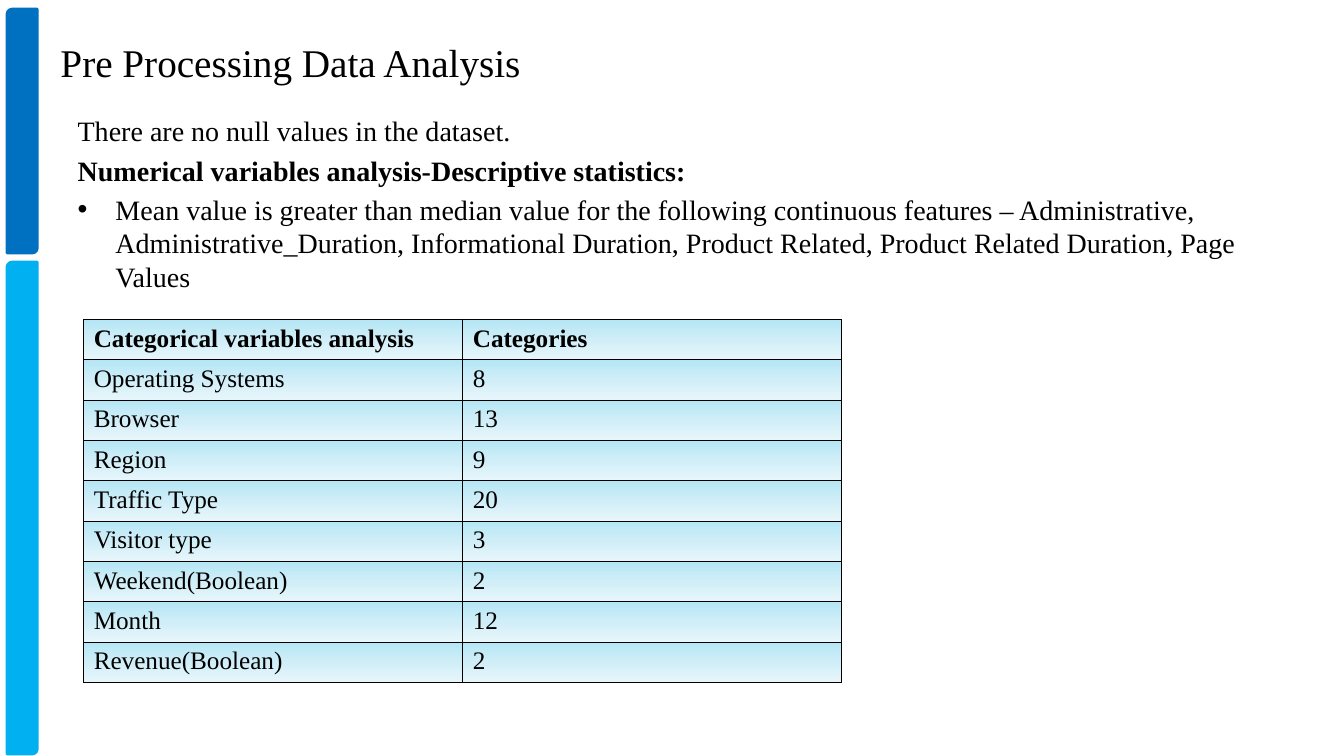
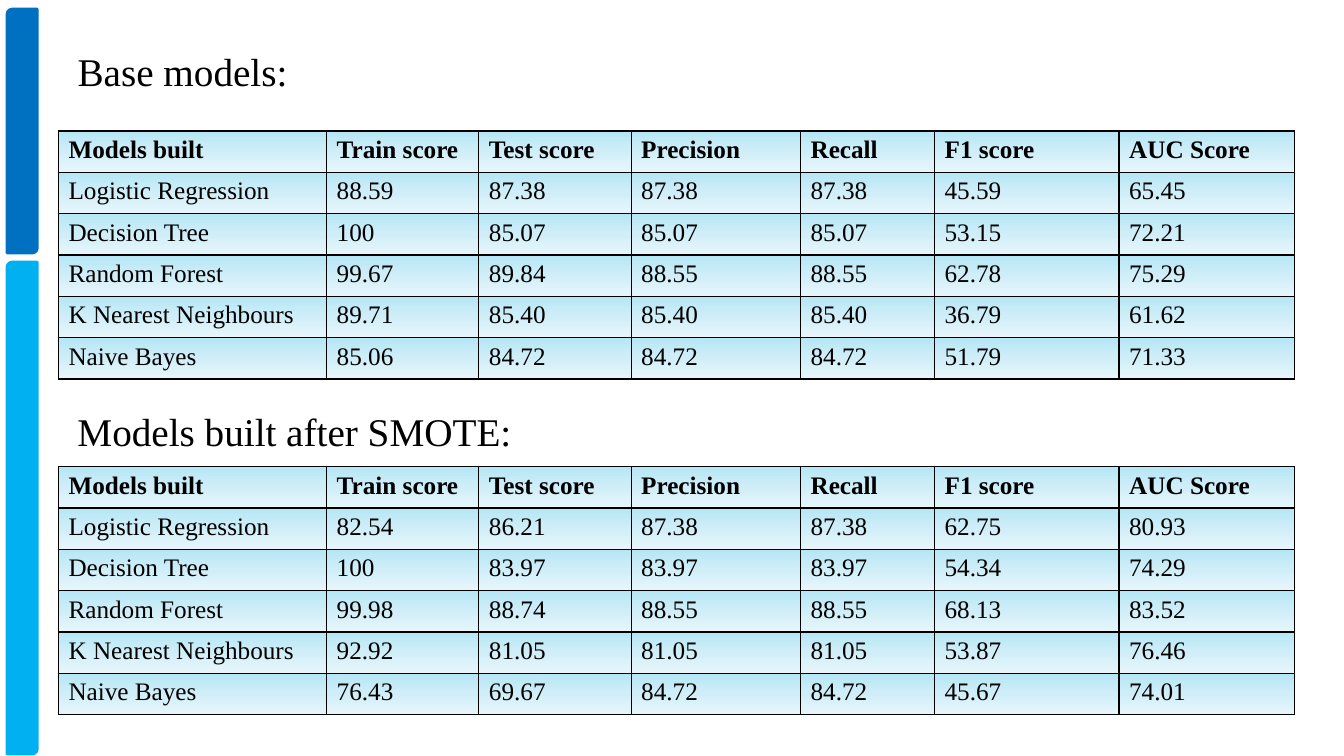
from pptx import Presentation
from pptx.dml.color import RGBColor
from pptx.enum.shapes import MSO_SHAPE
from pptx.enum.text import MSO_ANCHOR, MSO_AUTO_SIZE, PP_ALIGN
from pptx.oxml import parse_xml
from pptx.oxml.ns import nsdecls
from pptx.util import Inches, Pt

FONT = "Times New Roman"
BLACK = "000000"
GRADIENT = [(0, "B5E6F5"), (50, "D0EEF8"), (100, "E8F6FB")]
BANDS = [("0070C0", 0.09, 2.42), ("00B0F0", 2.6, 4.88)]  # colour, top, height

NOTES = [  # text, bold, bullet
    ("There are no null values in the dataset.", False, False),
    ("Numerical variables analysis-Descriptive statistics:", True, False),
    ("Mean value is greater than median value for the following continuous "
     "features – Administrative, Administrative_Duration, Informational "
     "Duration, Product Related, Product Related Duration, Page Values",
     False, True),
]
CATEGORIES = [
    ("Categorical variables analysis", "Categories"),
    ("Operating Systems", "8"),
    ("Browser", "13"),
    ("Region", "9"),
    ("Traffic Type", "20"),
    ("Visitor type", "3"),
    ("Weekend(Boolean)", "2"),
    ("Month", "12"),
    ("Revenue(Boolean)", "2"),
]
SCORES = ("Models built", "Train score", "Test score", "Precision", "Recall",
          "F1 score", "AUC Score")
BASE = [
    SCORES,
    ("Logistic Regression", "88.59", "87.38", "87.38", "87.38", "45.59", "65.45"),
    ("Decision Tree", "100", "85.07", "85.07", "85.07", "53.15", "72.21"),
    ("Random Forest", "99.67", "89.84", "88.55", "88.55", "62.78", "75.29"),
    ("K Nearest Neighbours", "89.71", "85.40", "85.40", "85.40", "36.79", "61.62"),
    ("Naive Bayes", "85.06", "84.72", "84.72", "84.72", "51.79", "71.33"),
]
SMOTE = [
    SCORES,
    ("Logistic Regression", "82.54", "86.21", "87.38", "87.38", "62.75", "80.93"),
    ("Decision Tree", "100", "83.97", "83.97", "83.97", "54.34", "74.29"),
    ("Random Forest", "99.98", "88.74", "88.55", "88.55", "68.13", "83.52"),
    ("K Nearest Neighbours", "92.92", "81.05", "81.05", "81.05", "53.87", "76.46"),
    ("Naive Bayes", "76.43", "69.67", "84.72", "84.72", "45.67", "74.01"),
]
CAT_COLS = [3.76] * 2
SCORE_COLS = [2.66, 1.51, 1.51, 1.68, 1.33, 1.83, 1.74]


def color(code):
    return RGBColor.from_string(code)


def style(para, size, bold=False):
    for run in para.runs:
        font = run.font
        font.name, font.size, font.bold = FONT, Pt(size), bold
        font.color.rgb = color(BLACK)


def place(shape, *box):
    shape.left, shape.top, shape.width, shape.height = map(Inches, box)


def head(shape, text, box, wrap=False):
    """Fill a title or text box with a section heading."""
    place(shape, *box)
    frame = shape.text_frame
    frame.text = text
    frame.word_wrap = wrap
    frame.auto_size = MSO_AUTO_SIZE.SHAPE_TO_FIT_TEXT
    frame.vertical_anchor = MSO_ANCHOR.TOP
    para = frame.paragraphs[0]
    para.alignment = PP_ALIGN.LEFT
    style(para, 28)


def fill_body(shape, notes):
    place(shape, 0.67, 1.08, 12, 6.42)
    frame = shape.text_frame
    frame.auto_size = MSO_AUTO_SIZE.NONE
    for i, (text, bold, bullet) in enumerate(notes):
        para = frame.add_paragraph() if i else frame.paragraphs[0]
        para.text = text
        style(para, 20, bold)
        if not bullet:
            props = para._p.get_or_add_pPr()
            props.set("marL", "0")
            props.set("indent", "0")
            props.append(parse_xml(f"<a:buNone {nsdecls('a')}/>"))


def paint(cell):
    """Give a cell black borders and the shared gradient."""
    props = cell._tc.get_or_add_tcPr()
    for side in "LRTB":
        props.append(parse_xml(
            f'<a:ln{side} {nsdecls("a")} w="{Pt(1)}"><a:solidFill>'
            f'<a:srgbClr val="{BLACK}"/></a:solidFill></a:ln{side}>'))
    stops = "".join(f'<a:gs pos="{pos * 1000}"><a:srgbClr val="{code}"/></a:gs>'
                    for pos, code in GRADIENT)
    props.append(parse_xml(
        f'<a:gradFill {nsdecls("a")} rotWithShape="1"><a:gsLst>{stops}</a:gsLst>'
        '<a:lin ang="5400000" scaled="0"/></a:gradFill>'))


def add_grid(slide, rows, cols, left, top, step):
    box = map(Inches, (left, top, sum(cols), step * len(rows)))
    table = slide.shapes.add_table(len(rows), len(cols), *box).table
    table.first_row = table.horz_banding = False
    for col, width in zip(table.columns, cols):
        col.width = Inches(width)
    for r, row in enumerate(rows):
        table.rows[r].height = Inches(step)
        for c, text in enumerate(row):
            cell = table.cell(r, c)
            cell.text = text
            style(cell.text_frame.paragraphs[0], 18, r == 0)
            paint(cell)


def add_bands(prs, slide):
    """Draw the side bands and move them to the slide master."""
    for i, (code, top, height) in enumerate(BANDS):
        box = map(Inches, (0.07, top, 0.3, height))
        band = slide.shapes.add_shape(MSO_SHAPE.ROUND_2_DIAG_RECTANGLE, *box)
        band.shadow.inherit = False
        band.fill.solid()
        band.fill.fore_color.rgb = band.line.color.rgb = color(code)
        band.line.width = Pt(2)
        band.name = f"Side band {i + 1}"
        band.element.nvSpPr.cNvPr.set("id", str(20 + i))
        prs.slide_master.shapes.element.append(band.element)


def main():
    prs = Presentation()
    prs.slide_width, prs.slide_height = Inches(13.33), Inches(7.5)

    data = prs.slides.add_slide(prs.slide_layouts.get_by_name("Title and Content"))
    add_bands(prs, data)
    head(data.shapes.title, "Pre Processing Data Analysis", (0.5, 0.33, 4.81, 0.57))
    fill_body(data.placeholders[1], NOTES)
    add_grid(data, CATEGORIES, CAT_COLS, 0.83, 3.17, 0.4)

    models = prs.slides.add_slide(prs.slide_layouts.get_by_name("Title Only"))
    head(models.shapes.title, "Base models:", (0.67, 0.42, 11.5, 0.57), True)
    add_grid(models, BASE, SCORE_COLS, 0.58, 1.3, 0.41)
    after = models.shapes.add_textbox(0, 0, 0, 0)
    head(after, "Models built after SMOTE:", (0.67, 3.99, 4.55, 0.57))
    add_grid(models, SMOTE, SCORE_COLS, 0.58, 4.63, 0.41)

    prs.save("out.pptx")


if __name__ == "__main__":
    main()
